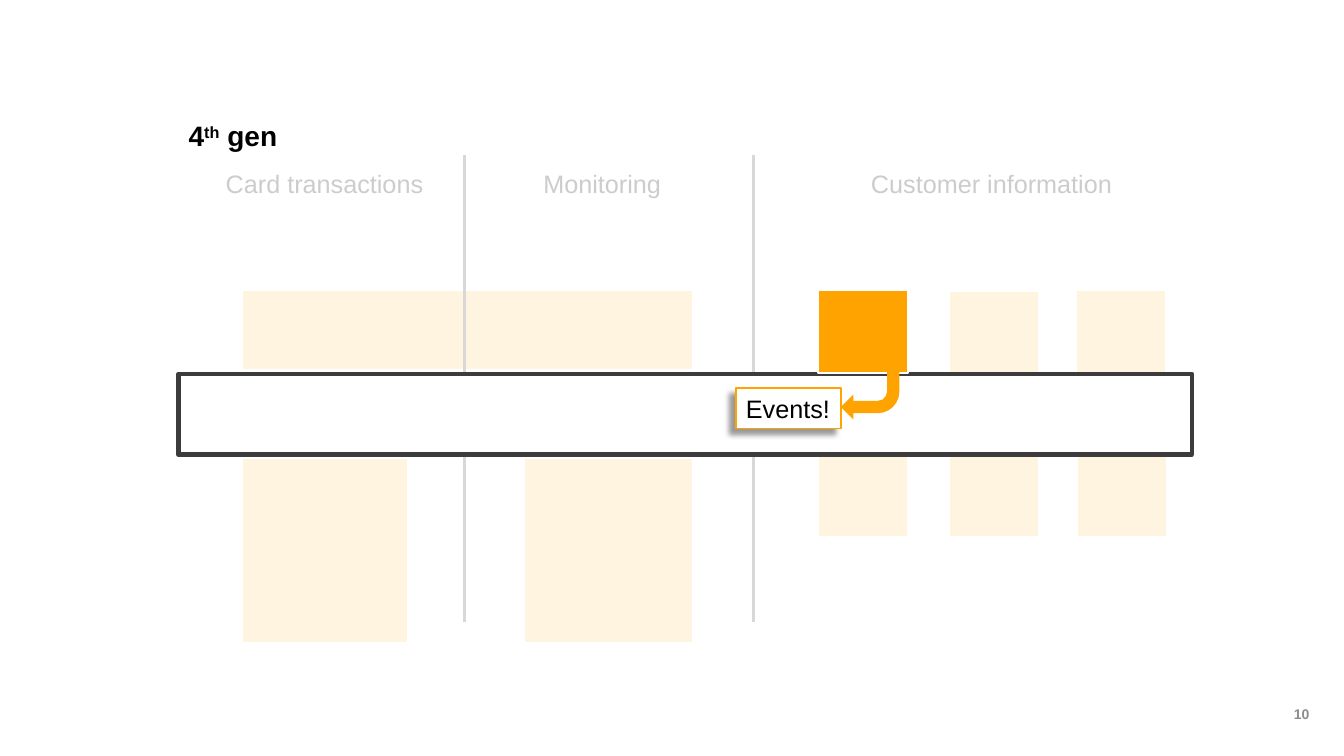
"""Build the "4th gen" slide: faded card system blocks with one highlighted event source."""
from dataclasses import dataclass
from typing import Optional

import lxml.etree
import pptx
import pptx.dml.color
import pptx.enum.shapes
import pptx.enum.text
import pptx.oxml
import pptx.oxml.ns
import pptx.util

EMU_PER_PX = 9144
FONT = "Arial"
BLACK = pptx.dml.color.RGBColor(0x00, 0x00, 0x00)
WHITE = pptx.dml.color.RGBColor(0xFF, 0xFF, 0xFF)
CHARCOAL = pptx.dml.color.RGBColor(0x3C, 0x3C, 0x3C)
GREY = pptx.dml.color.RGBColor(0x8C, 0x8C, 0x8C)
AMBER = pptx.dml.color.RGBColor(0xFF, 0xC8, 0x65)
ORANGE = pptx.dml.color.RGBColor(0xFE, 0xA3, 0x00)
RECTANGLE = pptx.enum.shapes.MSO_SHAPE.RECTANGLE
BENT_ARROW = pptx.enum.shapes.MSO_SHAPE.BENT_ARROW
LEFT = pptx.enum.text.PP_ALIGN.LEFT
CENTER = pptx.enum.text.PP_ALIGN.CENTER
TOP = pptx.enum.text.MSO_ANCHOR.TOP
MIDDLE = pptx.enum.text.MSO_ANCHOR.MIDDLE


@dataclass(frozen=True)
class Box:
    """Position and size in px."""

    left: int
    top: int
    width: int
    height: int

    def emu(self) -> tuple[int, ...]:
        """Return the four lengths in EMU."""
        return tuple(px(n) for n in (self.left, self.top, self.width, self.height))


@dataclass(frozen=True)
class Block:
    """A filled shape with an optional outline."""

    box: Box
    fill: pptx.dml.color.RGBColor = AMBER
    line: Optional[pptx.dml.color.RGBColor] = WHITE
    weight: float = 1.5
    geometry: pptx.enum.shapes.MSO_SHAPE = RECTANGLE


@dataclass(frozen=True)
class Label:
    """A line of text in its own box."""

    text: str
    box: Box
    size: int = 18
    color: pptx.dml.color.RGBColor = BLACK
    bold: bool = False
    align: pptx.enum.text.PP_ALIGN = LEFT
    anchor: pptx.enum.text.MSO_ANCHOR = TOP


SYSTEMS = [
    Block(Box(240, 454, 165, 184)),
    Block(Box(520, 454, 167, 184)),
    Block(Box(240, 288, 447, 79)),
    Block(Box(941, 289, 90, 82)),
    Block(Box(1067, 288, 90, 82)),
    *(Block(Box(left, 451, 90, 82)) for left in (811, 941, 1068)),
]
DIVIDERS = (461, 747)
DOMAINS = [
    Label("Card transactions", Box(214, 162, 218, 40)),
    Label("Monitoring", Box(529, 162, 138, 40)),
    Label("Customer information", Box(854, 162, 261, 40)),
]
VEIL = Block(Box(141, 141, 1063, 526), WHITE, None)
EVENT_BUS = Block(Box(177, 371, 1005, 80), WHITE, CHARCOAL, 3)
EVENT_SOURCE = Block(Box(811, 288, 90, 82), ORANGE)
EVENT_ARROW = Block(Box(834, 367, 58, 49), ORANGE, None, geometry=BENT_ARROW)
EVENT_CARD = Block(Box(730, 385, 104, 40), WHITE, ORANGE, 1)
EVENT_LABEL = Label("Events!", EVENT_CARD.box, anchor=MIDDLE)
GENERATION = Label("4th gen", Box(177, 113, 111, 44), size=20, bold=True)
PAGE_NUMBER = Label("10", Box(1249, 666, 84, 84), 10, GREY, True, CENTER, MIDDLE)


def px(length: int) -> int:
    """Convert px to EMU."""
    return length * EMU_PER_PX


def add_block(slide: pptx.slide.Slide, block: Block) -> pptx.shapes.autoshape.Shape:
    """Draw a block."""
    shape = slide.shapes.add_shape(block.geometry, *block.box.emu())
    shape.shadow.inherit = False
    shape.fill.solid()
    shape.fill.fore_color.rgb = block.fill
    if block.line is None:
        shape.line.fill.background()
    else:
        shape.line.color.rgb = block.line
        shape.line.width = pptx.util.Pt(block.weight)
    return shape


def write(frame: pptx.text.text.TextFrame, label: Label, runs: tuple[str, ...] = ()) -> None:
    """Fill a text frame with a label, optionally split into runs."""
    frame.word_wrap = False
    frame.auto_size = pptx.enum.text.MSO_AUTO_SIZE.NONE
    frame.vertical_anchor = label.anchor
    paragraph = frame.paragraphs[0]
    paragraph.alignment = label.align
    for text in runs or (label.text,):
        paragraph.add_run().text = text
    paragraph.font.name = FONT
    paragraph.font.size = pptx.util.Pt(label.size)
    paragraph.font.bold = label.bold
    paragraph.font.color.rgb = label.color


def add_label(slide: pptx.slide.Slide, label: Label) -> None:
    """Draw a label in a text box."""
    write(slide.shapes.add_textbox(*label.box.emu()).text_frame, label)


def add_divider(slide: pptx.slide.Slide, x: int) -> None:
    """Draw a vertical line between two domains."""
    divider = slide.shapes.add_connector(
        pptx.enum.shapes.MSO_CONNECTOR.STRAIGHT, px(x), px(154), px(x), px(617))
    divider.line.color.rgb = CHARCOAL
    divider.line.width = pptx.util.Pt(2.25)
    lxml.etree.SubElement(divider.element.spPr, pptx.oxml.ns.qn("a:effectLst"))


def add_generation_title(slide: pptx.slide.Slide) -> None:
    """Place the title above the veil, with a raised ordinal."""
    title = slide.shapes.title
    title.left, title.top, title.width, title.height = GENERATION.box.emu()
    write(title.text_frame, GENERATION, ("4", "th", " gen"))
    ordinal = title.text_frame.paragraphs[0].runs[1]
    ordinal.font._element.set("baseline", "30000")
    title.element.getparent().append(title.element)


def add_event_card(slide: pptx.slide.Slide) -> None:
    """Draw the event card with its shadow."""
    card = add_block(slide, EVENT_CARD)
    write(card.text_frame, EVENT_LABEL)
    effects = card.element.spPr.find(pptx.oxml.ns.qn("a:effectLst"))
    effects.append(pptx.oxml.parse_xml(
        f'<a:outerShdw {pptx.oxml.ns.nsdecls("a")} blurRad="50800" dist="76200" '
        'dir="8100000" algn="tr" rotWithShape="0"><a:srgbClr val="000000">'
        '<a:alpha val="40000"/></a:srgbClr></a:outerShdw>'))


def main() -> None:
    """Build and save the slide."""
    deck = pptx.Presentation()
    deck.slide_width, deck.slide_height = px(1333), px(750)
    slide = deck.slides.add_slide(deck.slide_layouts.get_by_name("Title Only"))
    add_label(slide, PAGE_NUMBER)
    for system in SYSTEMS:
        add_block(slide, system)
    for x in DIVIDERS:
        add_divider(slide, x)
    for domain in DOMAINS:
        add_label(slide, domain)
    veil = add_block(slide, VEIL)
    color = veil.element.spPr.find(".//" + pptx.oxml.ns.qn("a:srgbClr"))
    lxml.etree.SubElement(color, pptx.oxml.ns.qn("a:alpha"), val="80000")
    add_block(slide, EVENT_BUS)
    add_generation_title(slide)
    add_block(slide, EVENT_SOURCE)
    add_block(slide, EVENT_ARROW).rotation = 180
    add_event_card(slide)
    deck.save("out.pptx")


if __name__ == "__main__":
    main()
